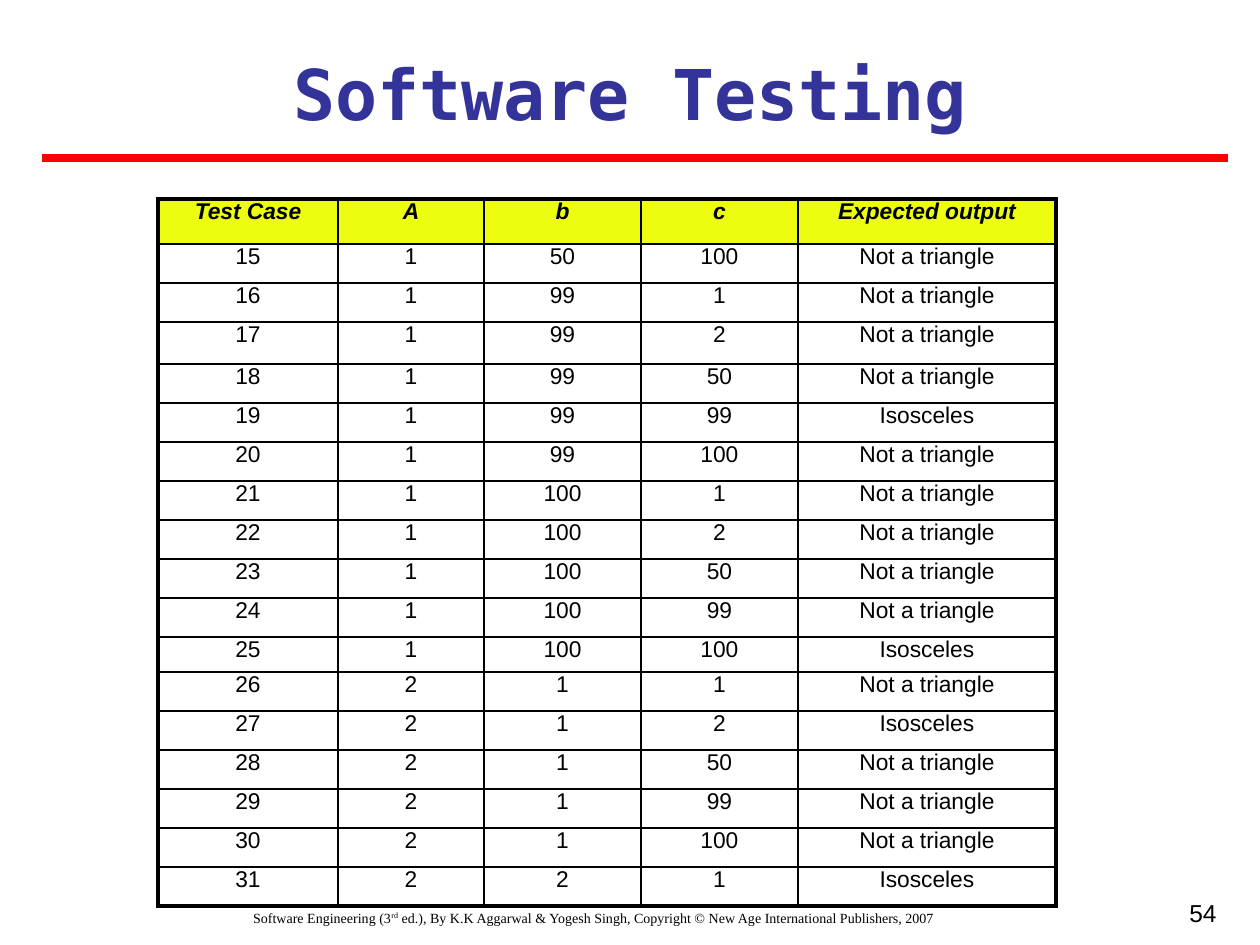
import pptx
import pptx.dml.color
import pptx.enum.shapes
import pptx.enum.text
import pptx.oxml
import pptx.oxml.ns
import pptx.util
from dataclasses import dataclass

TITLE = "Software Testing"
FOOTER = [
    ("Software Engineering (3", 0),
    ("rd", 30),
    (" ed.), By K.K Aggarwal & Yogesh Singh, "
     "Copyright © New Age International Publishers, 2007", 0),
]
PAGE_NUMBER = "54"

HEADINGS = ("Test Case", "A", "b", "c", "Expected output")
NOT_TRIANGLE, ISOSCELES = "Not a triangle", "Isosceles"
FIRST_CASE = 15
CASES = [
    (1, 50, 100, NOT_TRIANGLE),
    (1, 99, 1, NOT_TRIANGLE),
    (1, 99, 2, NOT_TRIANGLE),
    (1, 99, 50, NOT_TRIANGLE),
    (1, 99, 99, ISOSCELES),
    (1, 99, 100, NOT_TRIANGLE),
    (1, 100, 1, NOT_TRIANGLE),
    (1, 100, 2, NOT_TRIANGLE),
    (1, 100, 50, NOT_TRIANGLE),
    (1, 100, 99, NOT_TRIANGLE),
    (1, 100, 100, ISOSCELES),
    (2, 1, 1, NOT_TRIANGLE),
    (2, 1, 2, ISOSCELES),
    (2, 1, 50, NOT_TRIANGLE),
    (2, 1, 99, NOT_TRIANGLE),
    (2, 1, 100, NOT_TRIANGLE),
    (2, 2, 1, ISOSCELES),
]

# Lengths in px, 126 to the inch
PX = pptx.util.Inches(1) / 126
COLUMN_WIDTHS = (180, 146, 157, 157, 258)
ROW_HEIGHT = 39
SPECIAL_ROW_HEIGHTS = {0: 45, 3: 42, 11: 35}

CENTER = pptx.enum.text.PP_ALIGN.CENTER
RIGHT = pptx.enum.text.PP_ALIGN.RIGHT
TOP = pptx.enum.text.MSO_ANCHOR.TOP


@dataclass(frozen=True)
class Theme:
    title_color: str = "333399"
    text_color: str = "000000"
    rule_color: str = "FF0000"
    heading_fill: str = "ECFD0F"
    title_font: str = "DejaVu Sans Mono"
    body_font: str = "Arial"
    footer_font: str = "Times New Roman"
    title_size: int = 40
    table_size: int = 13
    number_size: int = 14
    footer_size: int = 8
    rule_width: float = 4.5
    inner_border: float = 1
    outer_border: float = 2.25


THEME = Theme()


def px(length):
    return pptx.util.Emu(round(length * PX))


def rgb(color):
    return pptx.dml.color.RGBColor.from_string(color)


def write(frame, text, *, size, font=THEME.body_font, color=THEME.text_color,
          bold=False, italic=False, align=CENTER):
    """Fill a frame with a string or a list of (text, baseline percent) spans."""
    frame.word_wrap = True
    para = frame.paragraphs[0]
    para.alignment = align
    for words, baseline in [(text, 0)] if isinstance(text, str) else text:
        span = para.add_run()
        span.text = words
        span.font.name = font
        span.font.size = pptx.util.Pt(size)
        span.font.bold = bold
        span.font.italic = italic
        span.font.color.rgb = rgb(color)
        if baseline:
            span.font._element.set("baseline", str(baseline * 1000))


def set_borders(cell, widths):
    """Draw left, right, top and bottom borders, given as point widths."""
    properties = cell._tc.get_or_add_tcPr()
    namespace = pptx.oxml.ns.nsdecls("a")
    for index, (side, width) in enumerate(zip("LRTB", widths)):
        border = pptx.oxml.parse_xml(
            f'<a:ln{side} {namespace} w="{pptx.util.Pt(width)}"><a:solidFill>'
            f'<a:srgbClr val="{THEME.text_color}"/></a:solidFill></a:ln{side}>')
        properties.insert(index, border)


def add_title(page):
    box = page.shapes.title
    box.left, box.top, box.width, box.height = map(px, (42, 40, 1176, 97))
    frame = box.text_frame
    frame.auto_size = pptx.enum.text.MSO_AUTO_SIZE.NONE
    frame.vertical_anchor = TOP
    frame.margin_top, frame.margin_bottom = px(11), 0
    write(frame, TITLE, size=THEME.title_size, font=THEME.title_font,
          color=THEME.title_color, bold=True)


def add_rule(page):
    rule = page.shapes.add_connector(
        pptx.enum.shapes.MSO_CONNECTOR.STRAIGHT,
        px(42), px(158), px(1228), px(158))
    rule.line.color.rgb = rgb(THEME.rule_color)
    rule.line.width = pptx.util.Pt(THEME.rule_width)
    rule._element.spPr.append(pptx.oxml.parse_xml(
        f'<a:effectLst {pptx.oxml.ns.nsdecls("a")}/>'))


def add_case_table(page):
    rows = [HEADINGS] + [(number, *case)
                         for number, case in enumerate(CASES, FIRST_CASE)]
    heights = [SPECIAL_ROW_HEIGHTS.get(index, ROW_HEIGHT)
               for index in range(len(rows))]
    table = page.shapes.add_table(
        len(rows), len(HEADINGS), px(158), px(199),
        px(sum(COLUMN_WIDTHS)), px(sum(heights))).table
    table.first_row = table.horz_banding = False
    for column, width in zip(table.columns, COLUMN_WIDTHS):
        column.width = px(width)
    last_row, last_column = len(rows) - 1, len(HEADINGS) - 1
    for r, values in enumerate(rows):
        table.rows[r].height = px(heights[r])
        heading = r == 0
        for c, value in enumerate(values):
            cell = table.cell(r, c)
            cell.margin_top = cell.margin_bottom = 0
            cell.vertical_anchor = TOP
            if heading:
                cell.fill.solid()
                cell.fill.fore_color.rgb = rgb(THEME.heading_fill)
            else:
                cell.fill.background()
            on_edge = (c == 0, c == last_column, r == 0, r == last_row)
            set_borders(cell, [THEME.outer_border if edge else THEME.inner_border
                               for edge in on_edge])
            write(cell.text_frame, str(value), size=THEME.table_size,
                  bold=heading, italic=heading)


def add_text(page, area, text, **style):
    box = page.shapes.add_textbox(*map(px, area))
    write(box.text_frame, text, **style)


def main():
    deck = pptx.Presentation()
    deck.slide_width, deck.slide_height = px(1260), px(945)
    page = deck.slides.add_slide(deck.slide_layouts.get_by_name("Title Only"))
    add_text(page, (32, 903, 1124, 42), FOOTER,
             size=THEME.footer_size, font=THEME.footer_font)
    add_text(page, (935, 892, 294, 74), PAGE_NUMBER,
             size=THEME.number_size, align=RIGHT)
    add_title(page)
    add_rule(page)
    add_case_table(page)
    deck.save("out.pptx")


if __name__ == "__main__":
    main()
